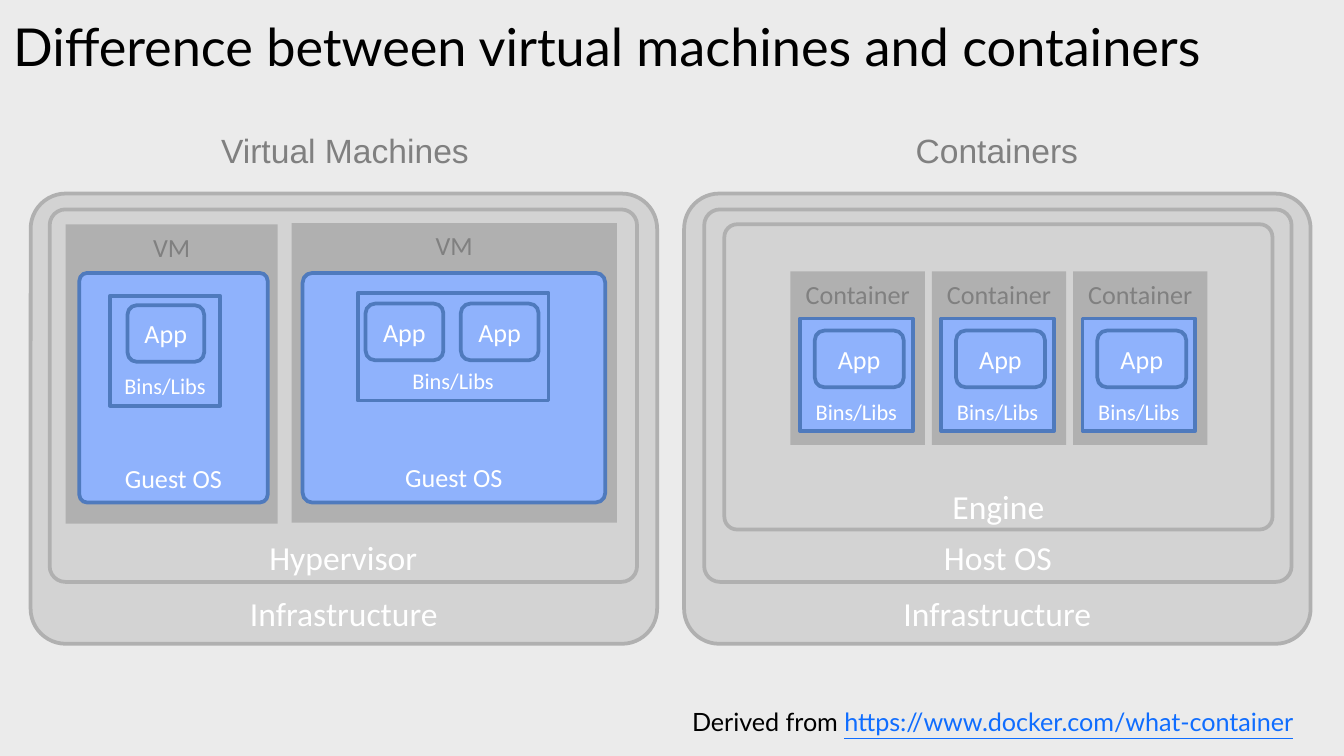
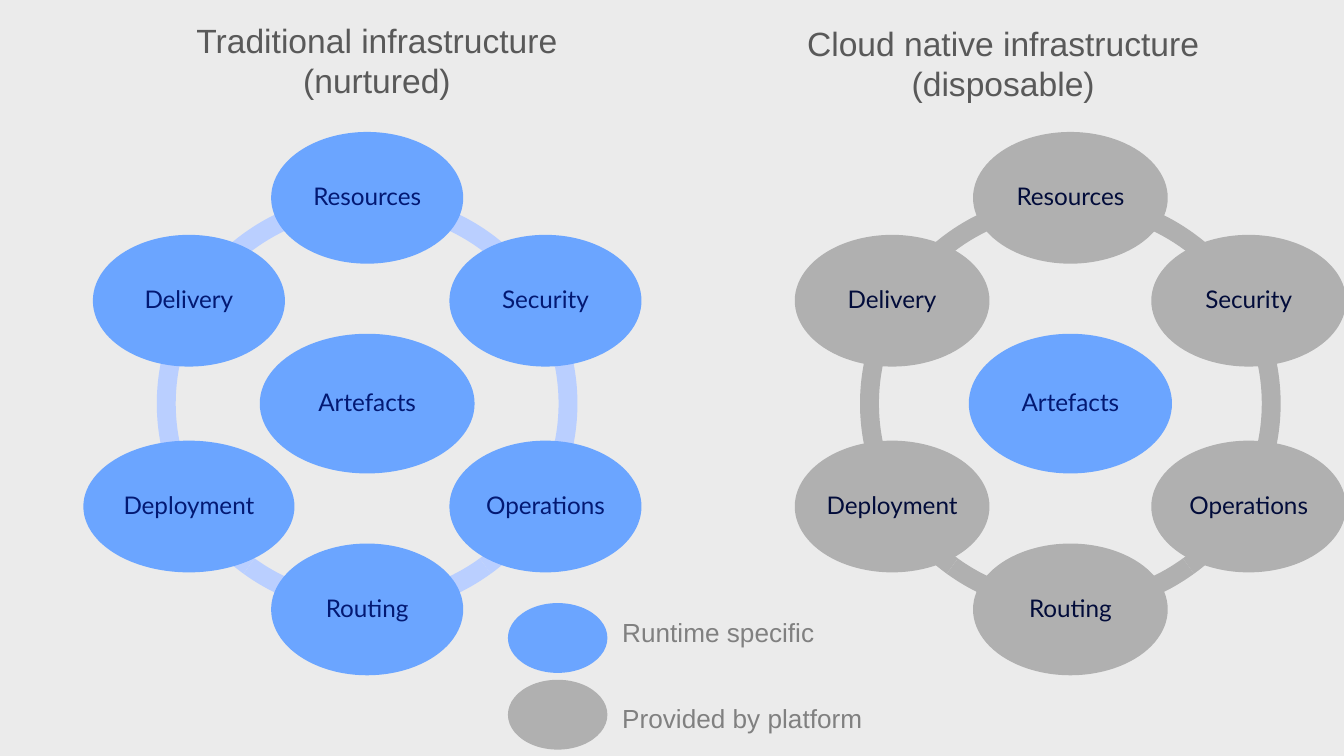
from math import cos, radians, sin

from pptx import Presentation
from pptx.dml.color import RGBColor
from pptx.enum.shapes import MSO_SHAPE as Preset
from pptx.enum.text import MSO_ANCHOR as Anchor, MSO_AUTO_SIZE as AutoSize, PP_ALIGN as Align
from pptx.util import Cm, Pt

# Shared colours
BACKGROUND, PANEL, GRAY, LABEL = "EBEBEB", "D3D3D3", "B0B0B0", "808080"
HEADING, WHITE, BLACK = "595959", "FFFFFF", "000000"
PALE_BLUE, BORDER_BLUE, BLUE, RING_BLUE = "8FB2FC", "4F7ABD", "6BA5FF", "BACFFF"
NAVY, DARK_NAVY, LINK = "031973", "020C3A", "0F6DFF"

hex_color = RGBColor.from_string


def write(box, text, size, color, font, align=Align.CENTER, anchor=Anchor.TOP, spacing=None):
    frame = box.text_frame
    frame.text = text
    frame.vertical_anchor = anchor
    for para in frame.paragraphs:
        para.alignment = align
        para.line_spacing = spacing
        para.font.size = Pt(size)
        para.font.name = font
        para.font.color.rgb = hex_color(color)
    return frame


def draw(page, preset, left, top, width, height, fill, line=None, adjust=()):
    shape = page.shapes.add_shape(preset, Cm(left), Cm(top), Cm(width), Cm(height))
    shape.shadow.inherit = False
    shape.fill.solid()
    shape.fill.fore_color.rgb = hex_color(fill)
    if line:
        shape.line.color.rgb = hex_color(line)
        shape.line.width = Pt(2)
    else:
        shape.line.fill.background()
    for index, value in enumerate(adjust):
        shape.adjustments[index] = value
    return shape


deck = Presentation()
deck.slide_width, deck.slide_height = Cm(25.4), Cm(14.29)
backdrop = deck.slide_master.background.fill
backdrop.solid()
backdrop.fore_color.rgb = hex_color(BACKGROUND)

# Slide 1: virtual machines and containers
page = deck.slides.add_slide(deck.slide_layouts[5])
title = page.shapes.title
title.left, title.top, title.width, title.height = Cm(0.25), Cm(0.41), Cm(25.15), Cm(1.65)
frame = write(title, "Difference between virtual machines and containers", 28, BLACK, "Lato",
              Align.LEFT, spacing=0.9)
frame.margin_left = frame.margin_top = frame.margin_right = frame.margin_bottom = 0

# Column headings
for text, left in (("Virtual Machines", 3.61), ("Containers", 15.93)):
    box = page.shapes.add_textbox(Cm(left), Cm(2.34), Cm(5.82), Cm(1.02))
    box.text_frame.word_wrap = True
    box.text_frame.auto_size = AutoSize.SHAPE_TO_FIT_TEXT
    write(box, text, 18, LABEL, "Arial")

# Nested platform layers
layers = [
    ("Infrastructure", 0.58, 3.66, 11.84, 8.51, 0.078),
    ("Hypervisor", 0.94, 3.96, 11.1, 7.04, 0.042),
    ("Infrastructure", 12.93, 3.66, 11.84, 8.51, 0.078),
    ("Host OS", 13.31, 3.96, 11.1, 7.04, 0.042),
    ("Engine", 13.69, 4.24, 10.36, 5.77, 0.042),
]
for text, left, top, width, height, corner in layers:
    layer = draw(page, Preset.ROUNDED_RECTANGLE, left, top, width, height, PANEL, GRAY, [corner])
    write(layer, text, 18, WHITE, "Calibri", anchor=Anchor.BOTTOM).margin_bottom = 0

# Each unit: label, frame, guest system (if any), libraries, apps
units = [
    ("VM", (1.24, 4.24, 4.01, 5.66), (1.5, 5.16, 3.56, 4.34), (2.08, 5.59, 2.08, 2.08),
     [(2.41, 5.77, 1.45, 1.07)]),
    ("VM", (5.51, 4.22, 6.15, 5.66), (5.72, 5.16, 5.72, 4.34), (6.76, 5.54, 3.61, 2.03),
     [(6.91, 5.74, 1.47, 1.07), (8.71, 5.74, 1.47, 1.07)]),
]
for column in range(3):
    left = 14.94 + 2.67 * column
    units.append(("Container", (left, 5.13, 2.54, 3.28), None, (left + 0.18, 6.02, 2.13, 2.13),
                  [(left + 0.46, 6.25, 1.68, 1.07)]))

for label, outline, guest, libraries, apps in units:
    write(draw(page, Preset.RECTANGLE, *outline, GRAY), label, 14, LABEL, "Calibri")
    if guest:
        system = draw(page, Preset.ROUNDED_RECTANGLE, *guest, PALE_BLUE, BORDER_BLUE, [0.042])
        write(system, "Guest OS", 14, WHITE, "Calibri", anchor=Anchor.BOTTOM)
    library = draw(page, Preset.RECTANGLE, *libraries, PALE_BLUE, BORDER_BLUE)
    write(library, "Bins/Libs", 12, WHITE, "Calibri", anchor=Anchor.BOTTOM)
    for place in apps:
        app = draw(page, Preset.ROUNDED_RECTANGLE, *place, PALE_BLUE, BORDER_BLUE)
        write(app, "App", 14, WHITE, "Calibri", anchor=Anchor.MIDDLE)

# Source line
box = page.shapes.add_textbox(Cm(12.83), Cm(13.23), Cm(12.32), Cm(0.84))
box.text_frame.word_wrap = False
box.text_frame.auto_size = AutoSize.SHAPE_TO_FIT_TEXT
frame = write(box, "Derived from ", 13.5, BLACK, "Lato", Align.LEFT)
span = frame.paragraphs[0].add_run()
span.text = "https://www.docker.com/what-container"
span.font.color.rgb = hex_color(LINK)
span.font.underline = True

# Slide 2: traditional and cloud native infrastructure
page = deck.slides.add_slide(deck.slide_layouts[6])
RING_SIZE, ORBIT, CENTER_Y = 7.95, 3.89, 7.63
TOPICS = ["Resources", "Security", "Operations", "Routing", "Deployment", "Delivery"]
ARCS = [(126, 162), (90, 126), (54, 90), (18, 54), (198, 18), (162, 198)]

# Each wheel: centre, ring colour, topic colour, text colour, topic and hub widths, wider topics
wheels = [
    (20.23, GRAY, GRAY, DARK_NAVY, 3.68, 3.84, {}),
    (6.94, RING_BLUE, BLUE, NAVY, 3.63, 4.06, {"Deployment": 3.99}),
]
for center_x, ring_color, topic_color, text_color, topic_width, hub_width, wider in wheels:
    for start, end in ARCS:
        # Angles are stored as 60000ths of a degree, adjustments as 100000ths
        draw(page, Preset.BLOCK_ARC, center_x - RING_SIZE / 2, CENTER_Y - RING_SIZE / 2,
             RING_SIZE, RING_SIZE, ring_color, adjust=[start * 0.6, end * 0.6, 0.045])

    ovals = [("Artefacts", center_x, CENTER_Y, hub_width, 2.64, BLUE, NAVY)]
    for step, topic in enumerate(TOPICS):
        angle = radians(60 * step)
        ovals.append((topic, center_x + ORBIT * sin(angle), CENTER_Y - ORBIT * cos(angle),
                      wider.get(topic, topic_width), 2.49, topic_color, text_color))
    for text, x, y, width, height, fill, color in ovals:
        oval = draw(page, Preset.OVAL, x - width / 2, y - height / 2, width, height, fill)
        frame = write(oval, text, 13, color, "Lato", anchor=Anchor.MIDDLE, spacing=0.9)
        frame.margin_left = frame.margin_top = frame.margin_right = frame.margin_bottom = 0

# Legend keys
for top, fill in ((11.4, BLUE), (12.85, GRAY)):
    draw(page, Preset.OVAL, 9.6, top, 1.88, 1.32, fill)

# Wheel headings and legend labels
captions = [
    ("Traditional infrastructure\n(nurtured)", 3.43, 0.25, 7.39, 1.8, 18, HEADING, Align.CENTER),
    ("Cloud native infrastructure\n(disposable)", 14.96, 0.3, 8, 1.8, 18, HEADING, Align.CENTER),
    ("Runtime specific", 11.51, 11.53, 4.17, 0.86, 14, LABEL, Align.LEFT),
    ("Provided by platform", 11.51, 13.16, 5.08, 0.86, 14, LABEL, Align.LEFT),
]
for text, left, top, width, height, size, color, align in captions:
    box = page.shapes.add_textbox(Cm(left), Cm(top), Cm(width), Cm(height))
    box.text_frame.word_wrap = False
    box.text_frame.auto_size = AutoSize.SHAPE_TO_FIT_TEXT
    write(box, text, size, color, "Arial", align)

deck.save("out.pptx")
